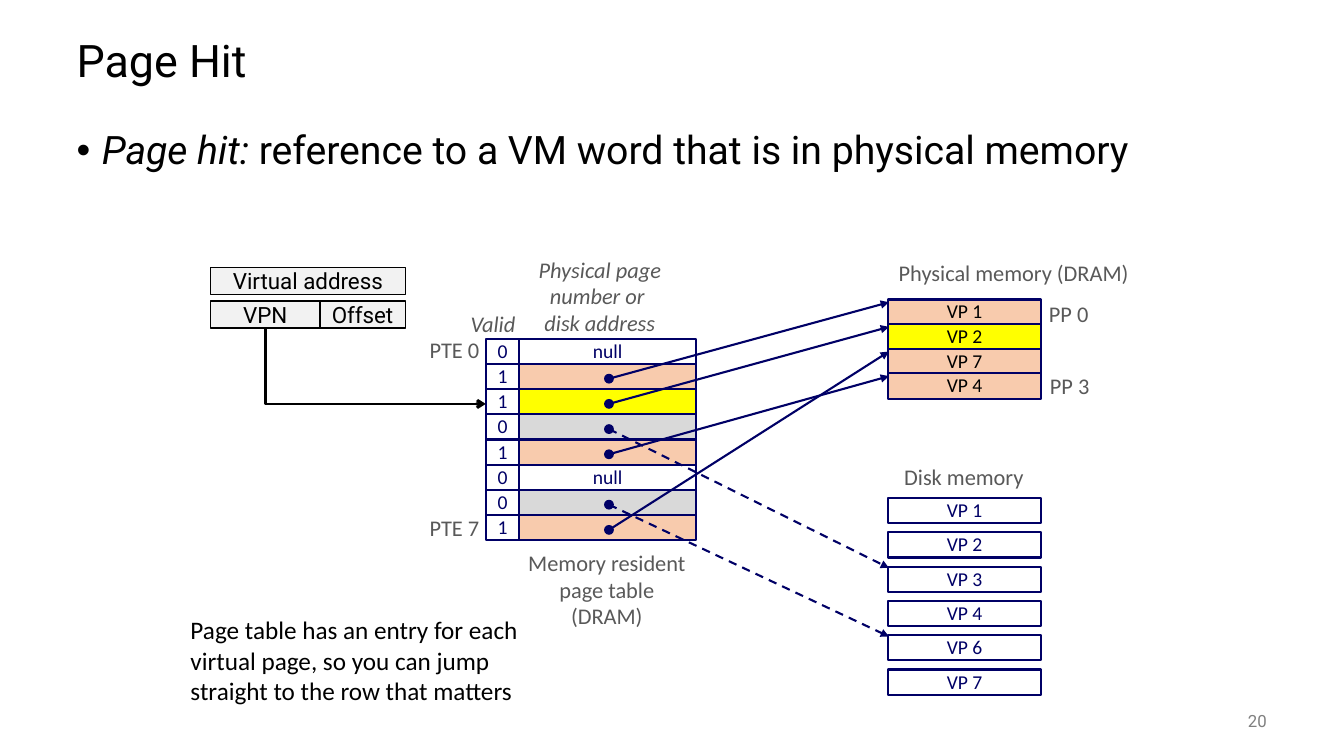
import pptx
import pptx.dml.color
import pptx.enum.dml
import pptx.enum.shapes
import pptx.enum.text
import pptx.oxml
import pptx.util
from lxml import etree

Pt = pptx.util.Pt
ALIGN = pptx.enum.text.PP_ALIGN
ANCHOR = pptx.enum.text.MSO_ANCHOR
SHAPE = pptx.enum.shapes.MSO_SHAPE
CONNECTOR = pptx.enum.shapes.MSO_CONNECTOR

NAVY, BLACK, GREY, WHITE = "000066", "000000", "595959", "FFFFFF"
CACHED, ON_DISK, HIT, PALE = "F8CBAD", "D9D9D9", "FFFF00", "F2F2F2"

TITLE = "Page Hit"
BODY = [("Page hit: ", True), ("reference to a VM word that is in physical memory", False)]
NOTE = "Page table has an entry for each virtual page, so you can jump straight to the row that matters"
PAGE_NUMBER = "20"

# valid bit, text, fill, page pointed to as (memory, index)
PAGE_TABLE = [
    ("0", "null", WHITE, None),
    ("1", "", CACHED, ("physical", 0)),
    ("1", "", HIT, ("physical", 1)),
    ("0", "", ON_DISK, ("disk", 2)),
    ("1", "", CACHED, ("physical", 3)),
    ("0", "null", WHITE, None),
    ("0", "", ON_DISK, ("disk", 4)),
    ("1", "", CACHED, ("physical", 2)),
]
PHYSICAL_PAGES = [("VP 1", CACHED), ("VP 2", HIT), ("VP 7", CACHED), ("VP 4", CACHED)]
DISK_PAGES = ["VP 1", "VP 2", "VP 3", "VP 4", "VP 6", "VP 7"]

# text, fill-free box (left, top, width, height), alignment, italic
LABELS = [
    ("Memory resident\npage table\n(DRAM)", (367, 389.5, 133, 64), ALIGN.CENTER, False),
    ("Physical page\nnumber or \ndisk address", (376, 180, 105, 64), ALIGN.CENTER, True),
    ("Valid", (329, 218.2, 54, 26.6), ALIGN.LEFT, True),
    ("PTE 0", (299, 237, 50.4, 26.6), ALIGN.RIGHT, False),
    ("PTE 7", (299, 364.5, 50.4, 26.6), ALIGN.RIGHT, False),
    ("Physical memory (DRAM)", (616.5, 182.2, 215, 26.6), ALIGN.CENTER, False),
    ("PP 0", (741.8, 211.2, 43, 26.6), ALIGN.CENTER, False),
    ("PP 3", (742.5, 263, 43, 26.6), ALIGN.CENTER, False),
    ("Disk memory", (638, 327.6, 101, 26.6), ALIGN.CENTER, False),
]
ADDRESS_BOXES = [
    ("Virtual address", (150.5, 191, 139, 19.4)),
    ("VPN", (150.5, 215, 78, 19.4)),
    ("Offset", (228.5, 215, 61, 19.4)),
]

VALID_LEFT, VALID_WIDTH = 347, 24
ENTRY_LEFT, ENTRY_WIDTH = 371, 126
TABLE_TOP, ROW = 242, 18
PAGE_LEFT, PAGE_WIDTH = 634.5, 109
PHYSICAL_TOP, PHYSICAL_STEP = 213.9, 17.6
DISK_TOP, DISK_STEP = 355.7, 24.5
DOT = 6


def color(value):
    return pptx.dml.color.RGBColor.from_string(value)


def place(shape, box):
    shape.left, shape.top, shape.width, shape.height = [Pt(length) for length in box]


def write(shape, text, size, ink, font="Calibri", align=ALIGN.CENTER,
          italic=False, wrap=False, spacing=0.98):
    frame = shape.text_frame
    frame.word_wrap = wrap
    frame.vertical_anchor = ANCHOR.MIDDLE
    frame.text = text
    for paragraph in frame.paragraphs:
        paragraph.alignment = align
        paragraph.line_spacing = spacing
        paragraph.font.name = font
        paragraph.font.size = Pt(size)
        paragraph.font.italic = italic
        paragraph.font.color.rgb = color(ink)


def add_box(box, fill=None, line=NAVY, width=1.5, kind=SHAPE.RECTANGLE):
    shape = slide.shapes.add_shape(kind, *[Pt(length) for length in box])
    shape.shadow.inherit = False
    if fill:
        shape.fill.solid()
        shape.fill.fore_color.rgb = color(fill)
    else:
        shape.fill.background()
    shape.line.color.rgb = color(line)
    shape.line.width = Pt(width)
    return shape


def add_label(text, box, size, ink, **style):
    write(slide.shapes.add_textbox(*[Pt(length) for length in box]), text, size, ink, **style)


def add_arrow(start, end, ink=NAVY, width=1.5, dashed=False, head="triangle",
              kind=CONNECTOR.STRAIGHT):
    arrow = slide.shapes.add_connector(kind, *[Pt(length) for length in (*start, *end)])
    arrow.line.color.rgb = color(ink)
    arrow.line.width = Pt(width)
    if dashed:
        arrow.line.dash_style = pptx.enum.dml.MSO_LINE.DASH
    tail = etree.SubElement(arrow.line._get_or_add_ln(), pptx.oxml.ns.qn("a:tailEnd"))
    tail.set("type", head)
    etree.SubElement(arrow._element.spPr, pptx.oxml.ns.qn("a:effectLst"))
    return arrow


def add_corner_arrow(start, end):
    """Arrow that runs straight down from start, then right to end."""
    center_x, center_y = (start[0] + end[0]) / 2, (start[1] + end[1]) / 2
    half_width, half_height = (end[1] - start[1]) / 2, (end[0] - start[0]) / 2
    arrow = add_arrow((center_x - half_width, center_y - half_height),
                      (center_x + half_width, center_y + half_height),
                      BLACK, 2, head="arrow", kind=CONNECTOR.ELBOW)
    properties = arrow._element.spPr
    properties.find(pptx.oxml.ns.qn("a:prstGeom")).set("prst", "bentConnector2")
    transform = properties.find(pptx.oxml.ns.qn("a:xfrm"))
    transform.set("rot", "16200000")
    transform.set("flipH", "1")


presentation = pptx.Presentation()
presentation.slide_width, presentation.slide_height = Pt(960), Pt(540)
slide = presentation.slides.add_slide(presentation.slide_layouts[1])

title, body = slide.placeholders
place(title, (47.5, 18, 864, 54))
write(title, TITLE, 32, BLACK, font="Roboto", align=ALIGN.LEFT, wrap=True, spacing=0.9)

place(body, (47.5, 90, 864, 396))
body.text_frame.auto_size = pptx.enum.text.MSO_AUTO_SIZE.NONE
paragraph = body.text_frame.paragraphs[0]
paragraph_properties = paragraph._p.get_or_add_pPr()
paragraph_properties.set("marL", str(Pt(18)))
paragraph_properties.set("indent", str(Pt(-18)))
etree.SubElement(paragraph_properties, pptx.oxml.ns.qn("a:buChar")).set("char", "•")
paragraph.line_spacing = 0.9
paragraph.space_before = Pt(0)
paragraph.font.name = "Roboto"
paragraph.font.size = Pt(28)
paragraph.font.color.rgb = color(BLACK)
for text, italic in BODY:
    run = paragraph.add_run()
    run.text = text
    run.font.italic = italic

for row, (valid, text, fill, target) in enumerate(PAGE_TABLE):
    top = TABLE_TOP + row * ROW
    write(add_box((VALID_LEFT, top, VALID_WIDTH, ROW)), valid, 14, NAVY)
    entry = add_box((ENTRY_LEFT, top, ENTRY_WIDTH, ROW), fill)
    if text:
        write(entry, text, 14, NAVY)

for index, (name, fill) in enumerate(PHYSICAL_PAGES):
    top = PHYSICAL_TOP + index * PHYSICAL_STEP
    write(add_box((PAGE_LEFT, top, PAGE_WIDTH, ROW), fill), name, 14, BLACK)
for index, name in enumerate(DISK_PAGES):
    top = DISK_TOP + index * DISK_STEP
    write(add_box((PAGE_LEFT, top, PAGE_WIDTH, ROW), WHITE), name, 14, NAVY)

for row, (valid, text, fill, target) in enumerate(PAGE_TABLE):
    if target:
        memory, index = target
        on_disk = memory == "disk"
        dot_x, dot_y = 435, TABLE_TOP + (row + 0.5) * ROW + 1.5
        end_y = (DISK_TOP + index * DISK_STEP + 1 if on_disk
                 else PHYSICAL_TOP + index * PHYSICAL_STEP + 2)
        add_arrow((dot_x, dot_y), (PAGE_LEFT + 0.5, end_y), dashed=on_disk)
        add_box((dot_x - DOT / 2, dot_y - DOT / 2, DOT, DOT), NAVY, width=1, kind=SHAPE.OVAL)

for text, box, align, italic in LABELS:
    add_label(text, box, 16, GREY, align=align, italic=italic)
for text, box in ADDRESS_BOXES:
    write(add_box(box, PALE, BLACK, 1), text, 16, BLACK, font="Roboto", spacing=1.0)
add_corner_arrow((189.5, 234.4), (VALID_LEFT, TABLE_TOP + 2.5 * ROW + 1.5))

add_label(NOTE, (129, 435, 258, 72.7), 18, BLACK, align=ALIGN.LEFT, wrap=True, spacing=1.0)
add_label(PAGE_NUMBER, (840, 500.5, 72, 28.8), 12, "808080", font="Roboto",
          align=ALIGN.RIGHT, wrap=True, spacing=1.0)

presentation.save("out.pptx")
